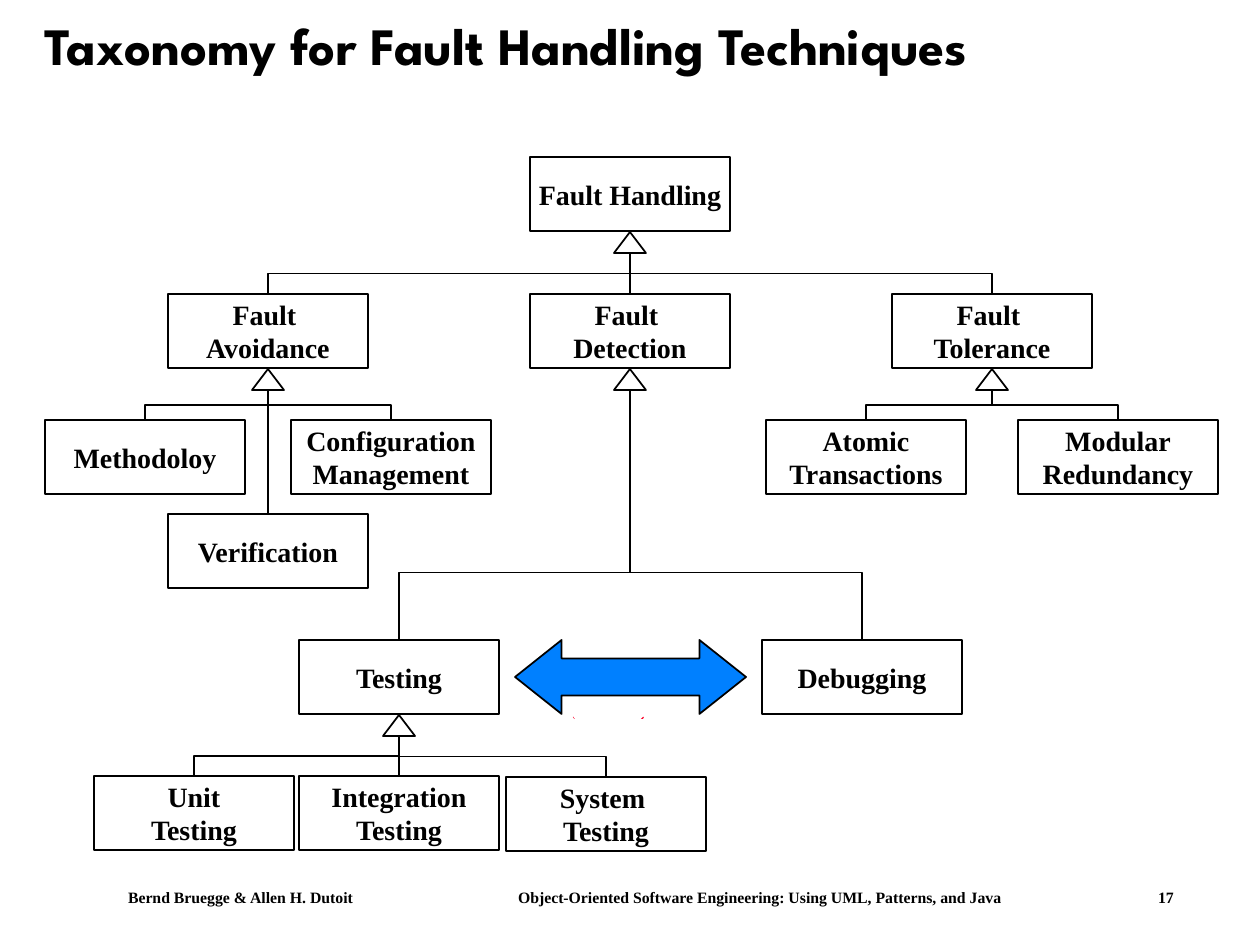
import lxml.etree
import pptx
import pptx.dml.color
import pptx.enum.shapes
import pptx.enum.text
import pptx.oxml.ns
import pptx.util

COLORS = {"black": "000000", "white": "FFFFFF", "blue": "0080FF", "red": "FC0128"}
SERIF, DISPLAY = "Times New Roman", "League Spartan"
BOX_W, BOX_H = 200, 74
TRIANGLE_W, TRIANGLE_H = 32, 21

TITLE = "Taxonomy for Fault Handling Techniques"
FOOTER = [
    ("Bernd Bruegge & Allen H. Dutoit", 128),
    ("Object-Oriented Software Engineering: Using UML, Patterns, and Java", 518),
    ("17", 1158),
]
BOXES = {
    "handling": ("Fault Handling", 530, 157),
    "avoidance": ("Fault \vAvoidance", 168, 294),
    "detection": ("Fault \vDetection", 530, 294),
    "tolerance": ("Fault \vTolerance", 892, 294),
    "verification": ("Verification", 168, 514),
    "configuration": ("Configuration\vManagement", 291, 420),
    "methodology": ("Methodoloy", 45, 420),
    "atomic": ("Atomic\vTransactions", 766, 420),
    "modular": ("Modular\vRedundancy", 1018, 420),
    "system": ("System \vTesting", 506, 777),
    "integration": ("Integration\vTesting", 299, 776),
    "unit": ("Unit\nTesting", 94, 776),
    "testing": ("Testing", 299, 640),
    "debugging": ("Debugging", 762, 640),
}
BRANCHES = [
    ("handling", ["avoidance", "detection", "tolerance"], 0.5),
    ("avoidance", ["methodology", "verification", "configuration"], 0.5),
    ("detection", ["testing", "debugging"], 0.27),
    ("tolerance", ["atomic", "modular"], 0.5),
    ("testing", ["unit", "integration", "system"], 0.5),
]
SPECKS = [
    [(644, 717), (643, 717), (641, 719), (643, 719)],
    [(575, 719), (574, 719), (574, 717), (573, 717)],
]

SHAPES = pptx.enum.shapes.MSO_SHAPE
CONNECTORS = pptx.enum.shapes.MSO_CONNECTOR
ANCHORS = pptx.enum.text.MSO_ANCHOR
ALIGN = pptx.enum.text.PP_ALIGN
qn = pptx.oxml.ns.qn


def px(value):
    return pptx.util.Emu(round(value * 914400 / 126))


def color(name):
    return pptx.dml.color.RGBColor.from_string(COLORS[name])


def set_font(para, size, name):
    para.font.size = pptx.util.Pt(size)
    para.font.name = name
    para.font.bold = True
    para.font.color.rgb = color("black")


def outline(line):
    line.color.rgb = color("black")
    line.width = pptx.util.Pt(1)


def add_shape(page, kind, left, top, width, height, fill):
    shape = page.shapes.add_shape(kind, px(left), px(top), px(width), px(height))
    shape.shadow.inherit = False
    shape.fill.solid()
    shape.fill.fore_color.rgb = color(fill)
    outline(shape.line)
    return shape


def add_box(page, text, left, top):
    box = add_shape(page, SHAPES.RECTANGLE, left, top, BOX_W, BOX_H, "white")
    frame = box.text_frame
    frame.word_wrap = False
    frame.vertical_anchor = ANCHORS.MIDDLE
    frame.text = text
    for para in frame.paragraphs:
        para.alignment = ALIGN.CENTER
        set_font(para, 16, SERIF)
    return box


def add_line(page, kind, x1, y1, x2, y2):
    line = page.shapes.add_connector(kind, px(x1), px(y1), px(x2), px(y2))
    outline(line.line)
    lxml.etree.SubElement(line._element.spPr, qn("a:effectLst"))
    return line


def add_elbow(page, child_x, child_y, parent_x, parent_y, bend):
    mid_x, mid_y = (child_x + parent_x) / 2, (child_y + parent_y) / 2
    half_w, half_h = abs(child_x - parent_x) / 2, (child_y - parent_y) / 2
    side = 1 if child_x < parent_x else -1
    line = add_line(page, CONNECTORS.ELBOW, mid_x + side * half_h, mid_y + half_w,
                    mid_x - side * half_h, mid_y - half_w)
    properties = line._element.spPr
    properties.find(qn("a:xfrm")).set("rot", "5400000" if side == 1 else "16200000")
    guides = properties.find(qn("a:prstGeom")).find(qn("a:avLst"))
    lxml.etree.SubElement(guides, qn("a:gd"), name="adj1", fmla=f"val {round(bend * 100000)}")


def add_branch(page, boxes, parent, children, bend):
    _, left, top = BOXES[parent]
    parent_x = left + BOX_W / 2
    triangle_top = top + BOX_H + 1
    add_shape(page, SHAPES.ISOSCELES_TRIANGLE, parent_x - TRIANGLE_W / 2, triangle_top,
              TRIANGLE_W, TRIANGLE_H, "white")
    parent_y = triangle_top + TRIANGLE_H
    for child in children:
        _, child_left, child_y = BOXES[child]
        child_x = child_left + BOX_W / 2
        if child_x == parent_x:
            line = add_line(page, CONNECTORS.STRAIGHT, child_x, child_y, parent_x, parent_y)
            line.begin_connect(boxes[child], 0)
        else:
            add_elbow(page, child_x, child_y, parent_x, parent_y, bend)


def add_text(page, text, left, top, width, height, size, font):
    box = page.shapes.add_textbox(px(left), px(top), px(width), px(height))
    box.text_frame.word_wrap = True
    box.text_frame.text = text
    para = box.text_frame.paragraphs[0]
    set_font(para, size, font)
    return box.text_frame, para


def add_footer(page):
    left = 73
    start = FOOTER[0][1]
    frame, para = add_text(page, "\t".join(text for text, _ in FOOTER),
                           left, 882, 1155, 32, 9, SERIF)
    frame.margin_left = px(start - left)
    tabs = lxml.etree.Element(qn("a:tabLst"))
    for _, x in FOOTER[1:]:
        lxml.etree.SubElement(tabs, qn("a:tab"), pos=str(px(x - start)), algn="l")
    para._p.get_or_add_pPr().insert(0, tabs)


def add_speck(page, points):
    builder = page.shapes.build_freeform(*points[0], scale=914400 / 126)
    builder.add_line_segments(points[1:], close=True)
    speck = builder.convert_to_shape()
    speck.shadow.inherit = False
    speck.fill.solid()
    speck.fill.fore_color.rgb = color("red")
    speck.line.fill.background()


def main():
    deck = pptx.Presentation()
    deck.slide_width, deck.slide_height = px(1260), px(945)
    page = deck.slides.add_slide(deck.slide_layouts[6])
    add_footer(page)
    frame, para = add_text(page, TITLE, 32, 0, 1124, 97, 30, DISPLAY)
    frame.vertical_anchor = ANCHORS.MIDDLE
    para.line_spacing = 0.9
    for points in SPECKS:
        add_speck(page, points)
    boxes = {name: add_box(page, *content) for name, content in BOXES.items()}
    for parent, children, bend in BRANCHES:
        add_branch(page, boxes, parent, children, bend)
    arrow = add_shape(page, SHAPES.LEFT_RIGHT_ARROW, 515, 640, 231, BOX_H, "blue")
    arrow.adjustments[0], arrow.adjustments[1] = 0.5, 0.63
    deck.save("out.pptx")


if __name__ == "__main__":
    main()
